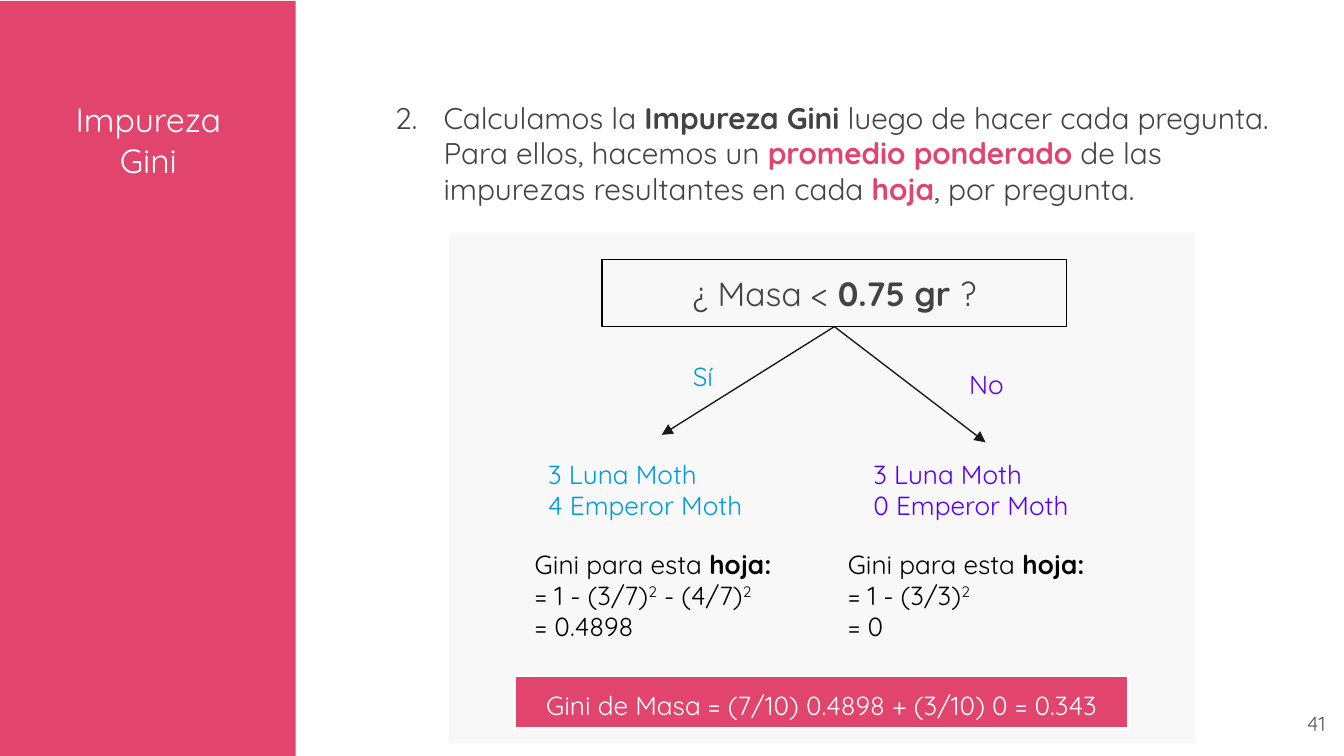
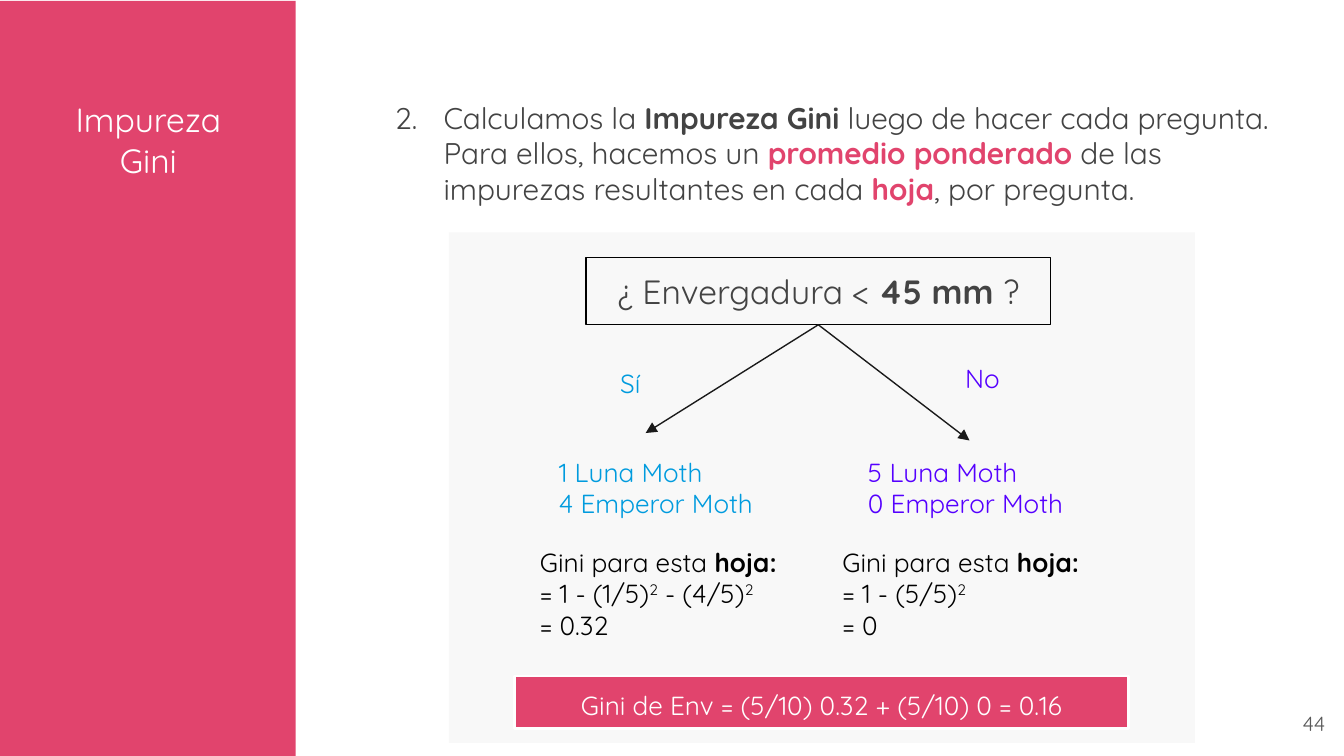
from lxml import etree
from pptx import Presentation
from pptx.dml import color as dml
from pptx.enum import shapes, text
from pptx.oxml import ns
from pptx.util import Pt

FONT = "Quicksand"
PINK, PANEL, WHITE, BLACK = "E1446D", "F8F8F8", "FFFFFF", "000000"
GREY, NUMBER_GREY, ARROW = "434343", "595959", "1A1A1A"
BLUE, PURPLE = "009BDE", "5500FF"
LEFT, CENTER, RIGHT = text.PP_ALIGN.LEFT, text.PP_ALIGN.CENTER, text.PP_ALIGN.RIGHT

BOLD = {"bold": True}
PINK_BOLD = {"bold": True, "color": PINK}
SUPERSCRIPT = {"baseline": 30000}

TITLE = "Impureza Gini"
STEP = [
    "Calculamos la ", ("Impureza Gini", BOLD),
    " luego de hacer cada pregunta. Para ellos, hacemos un ",
    ("promedio ponderado", PINK_BOLD),
    " de las impurezas resultantes en cada ", ("hoja", PINK_BOLD),
    ", por pregunta.",
]
SPECIES = ["Luna Moth", "Emperor Moth"]

SLIDES = [
    {
        "number": "41", "feature": "Masa", "short": "Masa",
        "threshold": "0.75 gr ", "question_at": (322.5, 139),
        "leaves": [
            {"answer": "Sí", "color": BLUE, "counts": [3, 4],
             "answer_at": (355, 185.8), "counts_x": 286.6, "gini_x": 279.4},
            {"answer": "No", "color": PURPLE, "counts": [3, 0],
             "answer_at": (506.9, 190.1), "counts_x": 460.8, "gini_x": 447.1},
        ],
    },
    {
        "number": "44", "feature": "Envergadura", "short": "Env",
        "threshold": "45 mm ", "question_at": (313.9, 138),
        "leaves": [
            {"answer": "Sí", "color": BLUE, "counts": [1, 4],
             "answer_at": (316.1, 189.4), "counts_x": 292.3, "gini_x": 282.2},
            {"answer": "No", "color": PURPLE, "counts": [5, 0],
             "answer_at": (504.7, 187.2), "counts_x": 457.9, "gini_x": 444.2},
        ],
    },
]

BAND = (0, 0.5, 158.4, 405)
PANEL_BOX = (240.5, 124.5, 399.6, 273.6)
TITLE_BOX = (23, 46, 113, 119.5)
STEP_BOX = (194.4, 46, 509, 42.5)
NUMBER_BOX = (674, 373.7, 43.2, 31)
RESULT_BOX = (275.8, 362.2, 329, 28)
QUESTION_SIZE = (249, 36)
ANSWER_SIZE = (43.2, 36)
COUNTS_SIZE = (157.7, 36)
GINI_SIZE = (146.9, 58.3)
COUNTS_DROP, GINI_DROP = 99.3, 147.4
ARROW_REACH = [(-92.5, 58), (81, 62)]


def rgb(value):
    return dml.RGBColor.from_string(value)


def place(shape, box):
    shape.left, shape.top, shape.width, shape.height = map(Pt, box)


def write(shape, paragraphs, size=14, color=BLACK, align=LEFT):
    frame = shape.text_frame
    frame.word_wrap = True
    frame.auto_size = text.MSO_AUTO_SIZE.NONE
    frame.vertical_anchor = text.MSO_ANCHOR.TOP
    frame.margin_left = frame.margin_right = Pt(7.2)
    frame.margin_top = frame.margin_bottom = Pt(7.2)
    for index, runs in enumerate(paragraphs):
        paragraph = frame.add_paragraph() if index else frame.paragraphs[0]
        paragraph.alignment = align
        paragraph.space_before = Pt(0)
        for item in [runs] if isinstance(runs, str) else runs:
            words, style = (item, {}) if isinstance(item, str) else item
            run = paragraph.add_run()
            run.text = words
            run.font.name = FONT
            run.font.size = Pt(size)
            run.font.bold = style.get("bold", False)
            run.font.color.rgb = rgb(style.get("color", color))
            if "baseline" in style:
                run._r.get_or_add_rPr().set("baseline", str(style["baseline"]))


def add_text(slide, box, paragraphs, **style):
    write(slide.shapes.add_textbox(*map(Pt, box)), paragraphs, **style)


def add_rectangle(slide, box, fill=None, line=None, width=0.75):
    shape = slide.shapes.add_shape(shapes.MSO_SHAPE.RECTANGLE, *map(Pt, box))
    shape.shadow.inherit = False
    if fill:
        shape.fill.solid()
        shape.fill.fore_color.rgb = rgb(fill)
    else:
        shape.fill.background()
    if line:
        shape.line.color.rgb = rgb(line)
        shape.line.width = Pt(width)
    else:
        shape.line.fill.background()
    return shape


def add_arrow(slide, box, reach):
    start_x, start_y = box.left + box.width // 2, box.top + box.height
    arrow = slide.shapes.add_connector(
        shapes.MSO_CONNECTOR.STRAIGHT, start_x, start_y,
        start_x + Pt(reach[0]), start_y + Pt(reach[1]))
    arrow.begin_connect(box, 2)
    arrow.line.color.rgb = rgb(ARROW)
    arrow.line.width = Pt(0.75)
    properties = arrow._element.spPr
    line = properties.find(ns.qn("a:ln"))
    etree.SubElement(line, ns.qn("a:tailEnd"), type="triangle")
    etree.SubElement(properties, ns.qn("a:effectLst"))


def number_paragraph(paragraph, start):
    properties = paragraph._p.get_or_add_pPr()
    properties.set("marL", str(Pt(36)))
    properties.set("indent", str(-Pt(26)))
    bullet_color = etree.SubElement(properties, ns.qn("a:buClr"))
    etree.SubElement(bullet_color, ns.qn("a:srgbClr"), val=GREY)
    etree.SubElement(properties, ns.qn("a:buFont"), typeface=FONT)
    etree.SubElement(properties, ns.qn("a:buAutoNum"),
                     type="arabicPeriod", startAt=str(start))
    paragraph.space_after = Pt(10)


def gini(counts):
    total = sum(counts)
    return round(1 - sum((count / total) ** 2 for count in counts), 4)


def gini_lines(counts):
    formula = ["= 1"]
    for count in filter(None, counts):
        formula += [f" - ({count}/{sum(counts)})", ("2", SUPERSCRIPT)]
    formula[:2] = [formula[0] + formula[1]]
    return [["Gini para esta ", ("hoja:", BOLD)], formula, f"= {gini(counts):g}"]


def result_line(short, leaves):
    groups = [leaf["counts"] for leaf in leaves]
    total = sum(map(sum, groups))
    terms = " + ".join(f"({sum(group)}/{total}) {gini(group):g}" for group in groups)
    average = sum(sum(group) * gini(group) for group in groups) / total
    return f"Gini de {short} = {terms} = {round(average, 3):g}"


def add_frame(slide, number):
    title, step = slide.shapes.title, slide.placeholders[1]
    band = add_rectangle(slide, BAND, PINK)
    panel = add_rectangle(slide, PANEL_BOX, PANEL)
    for shape in (band, panel):
        title._element.addprevious(shape._element)
    place(title, TITLE_BOX)
    write(title, [TITLE], size=18, color=WHITE, align=CENTER)
    place(step, STEP_BOX)
    number_paragraph(step.text_frame.paragraphs[0], 2)
    write(step, [STEP], size=16, color=GREY)
    add_text(slide, NUMBER_BOX, [number], size=11, color=NUMBER_GREY, align=RIGHT)


def add_tree(slide, content):
    top = content["question_at"][1]
    question = add_rectangle(slide, content["question_at"] + QUESTION_SIZE, line=BLACK)
    write(question, [[f"¿ {content['feature']} < ", (content["threshold"], BOLD), "?"]],
          size=18, color=GREY, align=CENTER)
    for leaf, reach in zip(content["leaves"], ARROW_REACH):
        color = leaf["color"]
        add_arrow(slide, question, reach)
        add_text(slide, leaf["answer_at"] + ANSWER_SIZE, [leaf["answer"]],
                 color=color, align=CENTER)
        counts = [f"{count} {name}" for count, name in zip(leaf["counts"], SPECIES)]
        add_text(slide, (leaf["counts_x"], top + COUNTS_DROP) + COUNTS_SIZE,
                 counts, color=color)
        add_text(slide, (leaf["gini_x"], top + GINI_DROP) + GINI_SIZE,
                 gini_lines(leaf["counts"]))
    result = add_rectangle(slide, RESULT_BOX, PINK, WHITE, 1.5)
    write(result, [result_line(content["short"], content["leaves"])],
          color=WHITE, align=CENTER)


def main():
    presentation = Presentation()
    presentation.slide_width, presentation.slide_height = Pt(720), Pt(405)
    for content in SLIDES:
        slide = presentation.slides.add_slide(presentation.slide_layouts[1])
        add_frame(slide, content["number"])
        add_tree(slide, content)
    presentation.save("out.pptx")


if __name__ == "__main__":
    main()
